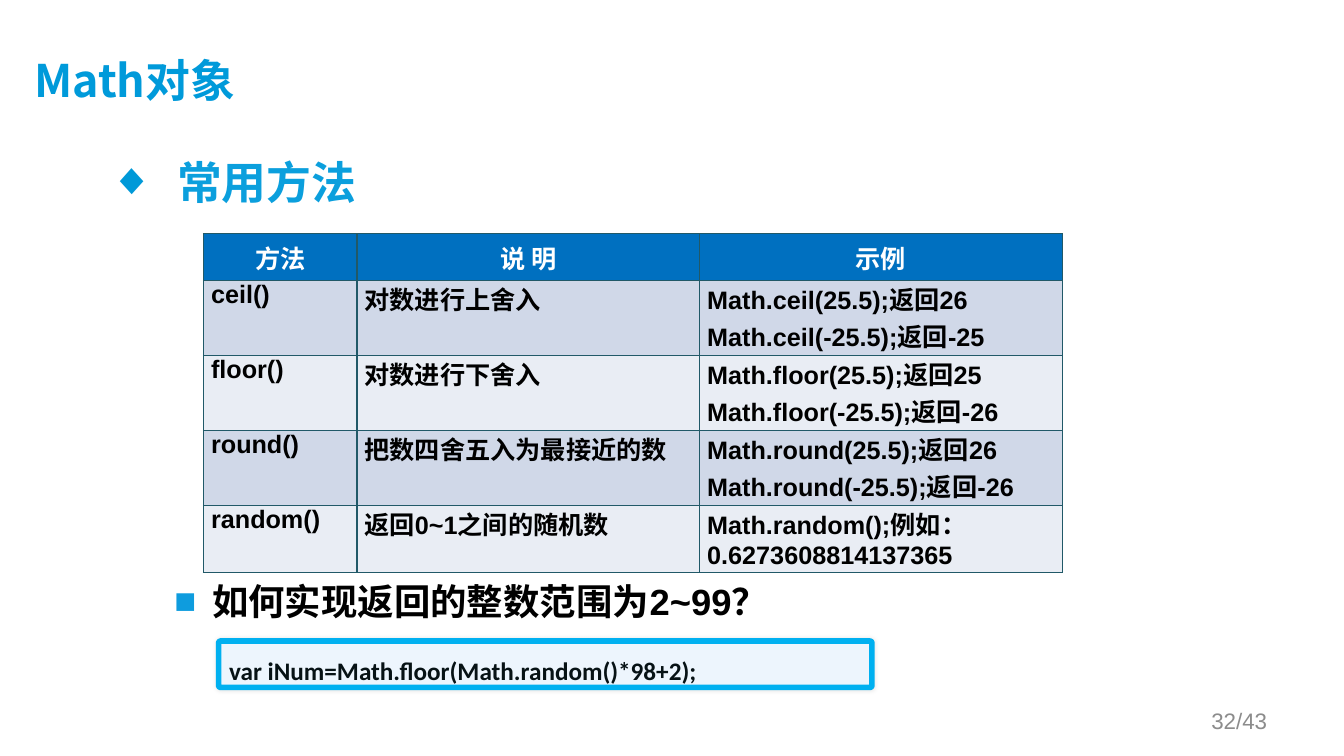
from dataclasses import dataclass

from lxml import etree
from pptx import Presentation
from pptx.dml.color import RGBColor
from pptx.enum.shapes import MSO_SHAPE
from pptx.enum.text import MSO_ANCHOR, MSO_AUTO_SIZE, PP_ALIGN
from pptx.oxml.ns import qn
from pptx.util import Pt

ROUNDED = MSO_SHAPE.ROUNDED_RECTANGLE
TOP, MIDDLE = MSO_ANCHOR.TOP, MSO_ANCHOR.MIDDLE
LEFT, CENTER, RIGHT, JUSTIFY = PP_ALIGN.LEFT, PP_ALIGN.CENTER, PP_ALIGN.RIGHT, PP_ALIGN.JUSTIFY
NO_AUTOFIT = MSO_AUTO_SIZE.NONE


@dataclass(frozen=True)
class Theme:
    title: str = "009ADA"
    heading: str = "0B9FDD"
    diamond: str = "0099D8"
    square: str = "0E9CDE"
    text: str = "000000"
    white: str = "FFFFFF"
    header_fill: str = "0070C0"
    bands: tuple = ("D0D8E8", "E9EDF4")
    border: str = "215968"
    code_text: str = "071215"
    code_fill: str = "EDF5FD"
    code_line: str = "00B0F0"
    page: str = "8C8C8C"
    title_size: int = 32
    question_size: int = 26
    table_size: int = 18
    page_size: int = 16
    latin: str = "Arial"
    chinese: str = "Noto Sans CJK SC"
    code: str = "Calibri"


THEME = Theme()
METHODS = [
    ("ceil()", "对数进行上舍入", ("Math.ceil(25.5);返回26", "Math.ceil(-25.5);返回-25")),
    ("floor()", "对数进行下舍入", ("Math.floor(25.5);返回25", "Math.floor(-25.5);返回-26")),
    ("round()", "把数四舍五入为最接近的数", ("Math.round(25.5);返回26", "Math.round(-25.5);返回-26")),
    ("random()", "返回0~1之间的随机数", ("Math.random();例如：0.6273608814137365",)),
]


def rgb(value):
    return RGBColor.from_string(value)


def place(shape, box):
    shape.left, shape.top, shape.width, shape.height = (Pt(length) for length in box)


def write(paragraph, text, size, color, font=THEME.latin, align=LEFT, bold=True):
    paragraph.alignment = align
    paragraph.space_before = Pt(0)
    run = paragraph.add_run()
    run.text = text
    run.font.size = Pt(size)
    run.font.bold = bold
    run.font.name = font
    run.font.color.rgb = rgb(color)
    east_asian = etree.SubElement(run.font._element, qn("a:ea"))
    east_asian.set("typeface", THEME.chinese)


def add_bullet(paragraph, symbol, color, indent):
    properties = paragraph._p.get_or_add_pPr()
    properties.set("marL", str(Pt(indent)))
    properties.set("indent", str(-Pt(indent)))
    bullet_color = etree.SubElement(properties, qn("a:buClr"))
    etree.SubElement(bullet_color, qn("a:srgbClr")).set("val", color)
    etree.SubElement(properties, qn("a:buFont")).set("typeface", THEME.latin)
    etree.SubElement(properties, qn("a:buChar")).set("char", symbol)


def add_title(slide, box):
    title = slide.shapes.title
    place(title, box)
    frame = title.text_frame
    frame.auto_size = NO_AUTOFIT
    frame.vertical_anchor = MIDDLE
    frame.margin_left = frame.margin_top = Pt(0)
    write(frame.paragraphs[0], "Math对象", THEME.title_size, THEME.title, THEME.chinese)


def add_heading(slide, box):
    body = slide.placeholders[1]
    place(body, box)
    frame = body.text_frame
    frame.auto_size = NO_AUTOFIT
    paragraph = frame.paragraphs[0]
    add_bullet(paragraph, "◆", THEME.diamond, 48)
    write(paragraph, "常用方法", THEME.title_size, THEME.heading, THEME.chinese)


def format_cell(cell, fill, margins):
    cell.margin_left = cell.margin_right = Pt(margins[0])
    cell.margin_top, cell.margin_bottom = Pt(margins[1]), Pt(margins[2])
    cell.fill.solid()
    cell.fill.fore_color.rgb = rgb(fill)
    properties = cell._tc.get_or_add_tcPr()
    for index, side in enumerate(("a:lnL", "a:lnR", "a:lnT", "a:lnB")):
        line = etree.Element(qn(side), w=str(Pt(1)))
        line_fill = etree.SubElement(line, qn("a:solidFill"))
        etree.SubElement(line_fill, qn("a:srgbClr")).set("val", THEME.border)
        properties.insert(index, line)


def add_methods_table(slide, box):
    frame = slide.shapes.add_table(len(METHODS) + 1, 3, *(Pt(length) for length in box))
    table = frame.table
    for column, width in zip(table.columns, (109.6, 244.8, 258.9)):
        column.width = Pt(width)
    for row, height in zip(table.rows, (33.4, 53.6, 53.6, 53.6, 47)):
        row.height = Pt(height)
    for cell, text in zip(table.rows[0].cells, ("方法", "说 明", "示例")):
        format_cell(cell, THEME.header_fill, (7.2, 3.6, 3.6))
        write(cell.text_frame.paragraphs[0], text, THEME.table_size, THEME.white, align=CENTER)
    for index, (name, meaning, examples) in enumerate(METHODS):
        contents = ((name,), (meaning,), examples)
        for cell, lines in zip(table.rows[index + 1].cells, contents):
            format_cell(cell, THEME.bands[index % 2], (5.4, 0, 1.4))
            text_frame = cell.text_frame
            for number, line in enumerate(lines):
                paragraph = text_frame.add_paragraph() if number else text_frame.paragraphs[0]
                align = LEFT if name == "random()" and lines is examples else JUSTIFY
                write(paragraph, line, THEME.table_size, THEME.text, align=align)


def add_code(slide, box):
    shape = slide.shapes.add_shape(ROUNDED, *(Pt(length) for length in box))
    shape.adjustments[0] = 0.04
    shape.fill.solid()
    shape.fill.fore_color.rgb = rgb(THEME.code_fill)
    shape.line.color.rgb = rgb(THEME.code_line)
    shape.line.width = Pt(4)
    shape.shadow.inherit = False
    effects = shape._element.spPr.find(qn("a:effectLst"))
    shadow = etree.SubElement(effects, qn("a:outerShdw"), blurRad=str(Pt(3)), dist="0", dir="0")
    shadow_color = etree.SubElement(shadow, qn("a:srgbClr"), val=THEME.text)
    etree.SubElement(shadow_color, qn("a:alpha")).set("val", "10000")
    frame = shape.text_frame
    frame.word_wrap = True
    frame.vertical_anchor = TOP
    paragraph = frame.paragraphs[0]
    paragraph.line_spacing = 1.3
    code = "var iNum=Math.floor(Math.random()*98+2);"
    write(paragraph, code, THEME.table_size, THEME.code_text, THEME.code)


def add_question(slide, box):
    frame = slide.shapes.add_textbox(*(Pt(length) for length in box)).text_frame
    frame.word_wrap = True
    paragraph = frame.paragraphs[0]
    add_bullet(paragraph, "■", THEME.square, 27)
    write(paragraph, "如何实现返回的整数范围为2~99？", THEME.question_size, THEME.text)


def add_page_number(slide, box):
    frame = slide.shapes.add_textbox(*(Pt(length) for length in box)).text_frame
    frame.word_wrap = True
    frame.vertical_anchor = MIDDLE
    write(frame.paragraphs[0], "32/43", THEME.page_size, THEME.page, align=RIGHT, bold=False)


def main():
    presentation = Presentation()
    presentation.slide_width, presentation.slide_height = Pt(960), Pt(540)
    slide = presentation.slides.add_slide(presentation.slide_layouts[1])
    add_title(slide, (24.5, 21.6, 864.7, 74.2))
    add_heading(slide, (71.3, 106.6, 815, 356.4))
    add_methods_table(slide, (145.4, 167, 613.3, 241.2))
    add_code(slide, (156.2, 457.9, 466.6, 33.1))
    add_question(slide, (117.4, 410.4, 648, 45.4))
    add_page_number(slide, (688.3, 500.4, 223.9, 28.8))
    presentation.save("out.pptx")


if __name__ == "__main__":
    main()
